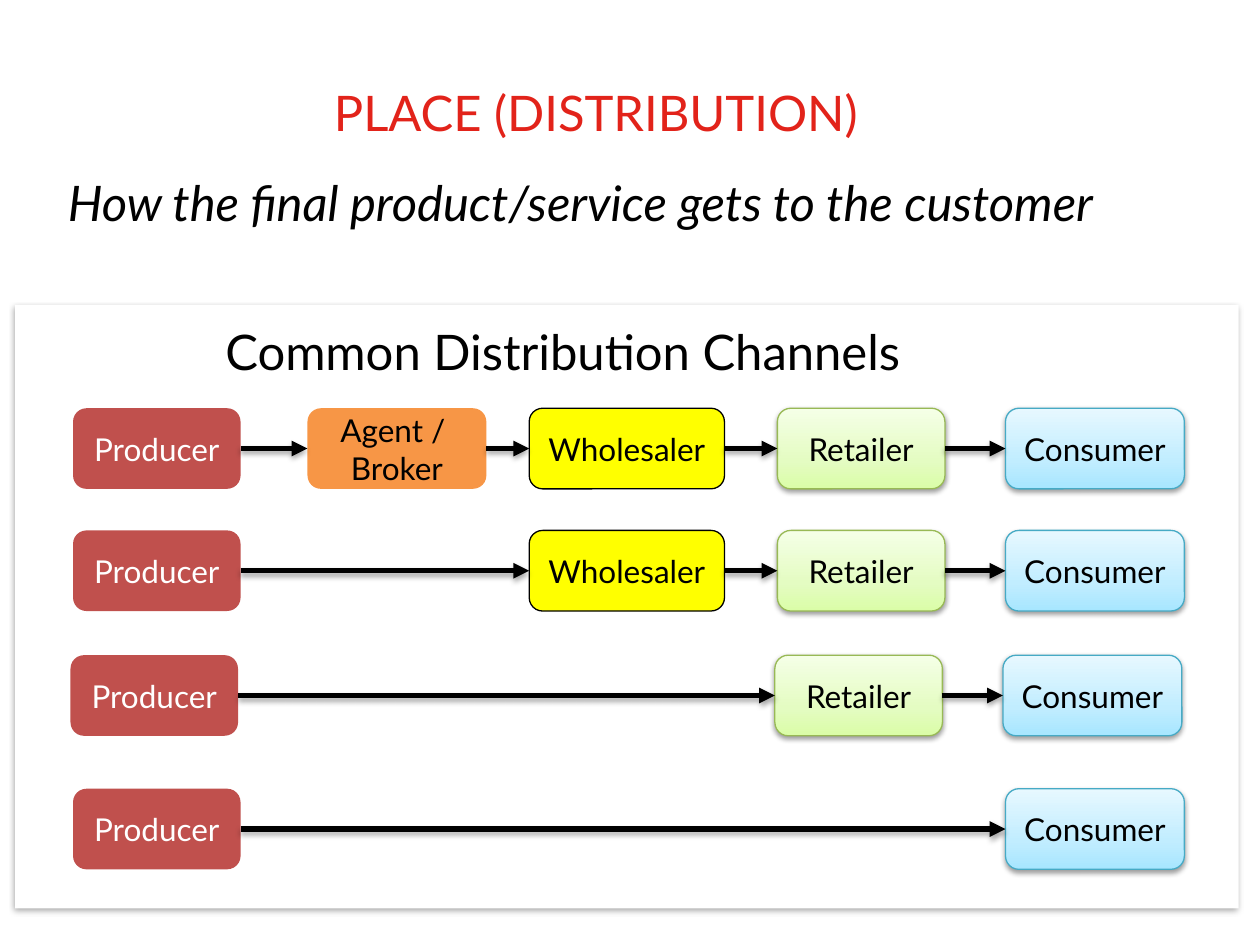
from copy import deepcopy

from lxml import etree
from pptx import Presentation, util as u
from pptx.dml.color import RGBColor
from pptx.enum import shapes, text
from pptx.oxml.ns import qn

FONT = "Lato"
COLORS = {
    "black": "000000", "white": "FFFFFF", "title": "E2231A",
    "producer": "C0504D", "agent": "F79646", "wholesaler": "FFFF00",
    "retailer edge": "98B955", "consumer edge": "46AAC5",
}
GRADIENTS = {
    "Retailer": ("DAFDA7", "E4FCC2", "F5FFE7"),
    "Consumer": ("A7E6FF", "C1EDFF", "E7F8FF"),
}
# stage: left, width, fill, edge, font colour
STAGES = {
    "Producer": (0.58, 1.33, "producer", None, "white"),
    "Agent / \nBroker": (2.44, 1.42, "agent", None, "black"),
    "Wholesaler": (4.2, 1.55, "wholesaler", "black", "black"),
    "Retailer": (6.17, 1.33, None, "retailer edge", "black"),
    "Consumer": (7.98, 1.42, None, "consumer edge", "black"),
}
ROW_TOPS = (3.24, 4.21, 5.2, 6.26)
ROW_SHIFTS = (0, 0, -0.02, 0)
SKIPPED_STAGES = (0, 1, 2, 3)  # each channel drops one more middle stage
ROW_HEIGHT = 0.64


def add_shadow(item, opacity, distance):
    """Append a soft downward shadow; call after fill and line are set."""
    effects = etree.SubElement(item._element.spPr, qn("a:effectLst"))
    shadow = etree.SubElement(
        effects, qn("a:outerShdw"), blurRad=str(u.Pt(3.1)),
        dist=str(u.Pt(distance)), dir="5400000", rotWithShape="0")
    color = etree.SubElement(shadow, qn("a:srgbClr"), val=COLORS["black"])
    etree.SubElement(color, qn("a:alpha"), val=str(opacity * 1000))


def write(para, words, size, color, italic=None):
    span = para.add_run()
    span.text = words
    span.font.name = FONT
    span.font.size = u.Pt(size)
    span.font.italic = italic
    span.font.color.rgb = RGBColor.from_string(COLORS[color])


deck = Presentation()
deck.slide_width, deck.slide_height = u.Inches(10), u.Inches(7.5)
page = deck.slides.add_slide(deck.slide_layouts[5])

# Panel behind the channels
panel = page.shapes.add_shape(
    shapes.MSO_SHAPE.RECTANGLE,
    u.Inches(0.12), u.Inches(2.42), u.Inches(9.71), u.Inches(4.79))
panel.fill.solid()
panel.fill.fore_color.rgb = RGBColor.from_string(COLORS["white"])
panel.line.fill.background()
add_shadow(panel, 35, 1.8)

# Title and headings
title = page.shapes.title
title.left, title.top = u.Inches(2.65), u.Inches(0.25)
title.width, title.height = u.Inches(6.2), u.Inches(0.87)
frame = title.text_frame
frame.margin_left = frame.margin_right = frame.margin_top = frame.margin_bottom = 0
frame.vertical_anchor = text.MSO_ANCHOR.BOTTOM
frame.paragraphs[0].alignment = text.PP_ALIGN.LEFT
write(frame.paragraphs[0], "PLACE (DISTRIBUTION)", 28, "title")

for words, left, top, width, height, italic in (
    ("How the final product/service gets to the customer", 0.44, 1.32, 9.39, 0.7, True),
    ("Common Distribution Channels", 1.69, 2.5, 6, 0.68, None),
):
    box = page.shapes.add_textbox(
        u.Inches(left), u.Inches(top), u.Inches(width), u.Inches(height))
    box.text_frame.word_wrap = True
    write(box.text_frame.paragraphs[0], words, 28, "black", italic)

# Channels, one per row, from the longest to the direct one
for top, shift, skipped in zip(ROW_TOPS, ROW_SHIFTS, SKIPPED_STAGES):
    names = list(STAGES)
    channel = names[:1] + names[1 + skipped:]
    boxes = []
    for name in channel:
        left, width, fill, edge, font_color = STAGES[name]
        box = page.shapes.add_shape(
            shapes.MSO_SHAPE.ROUNDED_RECTANGLE, u.Inches(left + shift),
            u.Inches(top), u.Inches(width), u.Inches(ROW_HEIGHT))
        if edge:
            box.line.color.rgb = RGBColor.from_string(COLORS[edge])
            box.line.width = u.Pt(0.75)
        else:
            box.line.fill.background()
        if name in GRADIENTS:
            box.fill.gradient()
            box.fill.gradient_angle = 90
            first = box.fill.gradient_stops[0]._gs
            first.addnext(deepcopy(first))
            for stop, place, color in zip(
                    box.fill.gradient_stops, (0, 0.35, 1), GRADIENTS[name]):
                stop.position = place
                stop.color.rgb = RGBColor.from_string(color)
            add_shadow(box, 38, 1.6)
        else:
            box.fill.solid()
            box.fill.fore_color.rgb = RGBColor.from_string(COLORS[fill])
            box.shadow.inherit = False
        frame = box.text_frame
        frame.word_wrap = True
        frame.vertical_anchor = text.MSO_ANCHOR.MIDDLE
        for number, words in enumerate(name.split("\n")):
            para = frame.add_paragraph() if number else frame.paragraphs[0]
            para.alignment = text.PP_ALIGN.CENTER
            write(para, words, 18, font_color)
        boxes.append(box)

    for source, target in zip(boxes, boxes[1:]):
        arrow = page.shapes.add_connector(shapes.MSO_CONNECTOR.STRAIGHT, 0, 0, 0, 0)
        arrow.begin_connect(source, 3)
        arrow.end_connect(target, 1)
        arrow.line.color.rgb = RGBColor.from_string(COLORS["black"])
        arrow.line.width = u.Pt(3)
        etree.SubElement(arrow.line._get_or_add_ln(), qn("a:tailEnd"), type="triangle")
        add_shadow(arrow, 35, 1.8)

deck.save("out.pptx")
